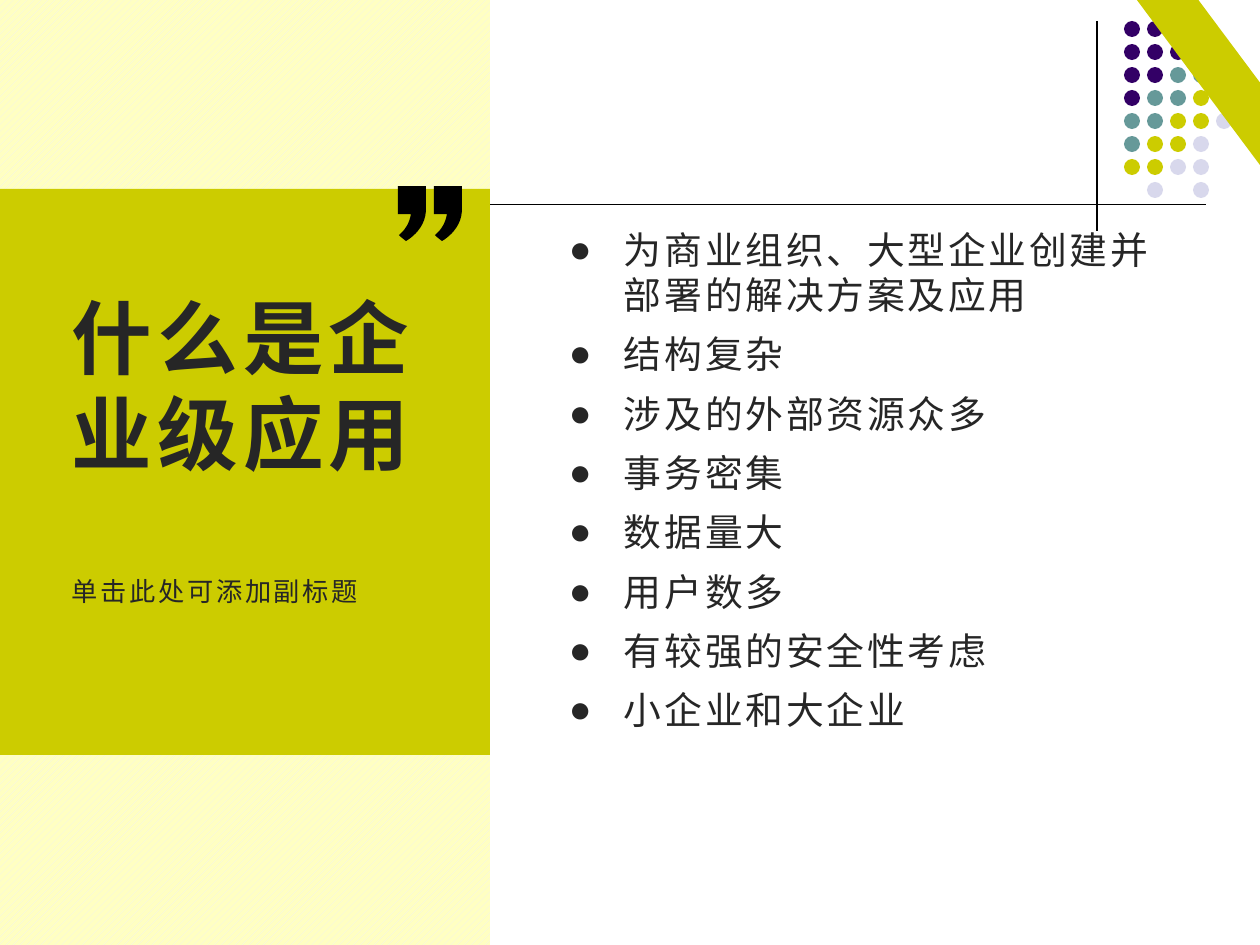
"""Build the slide that explains what an enterprise application is."""
from dataclasses import dataclass

from lxml import etree
from pptx import Presentation
from pptx.dml.color import RGBColor as Rgb
from pptx.enum.dml import MSO_PATTERN as Pattern
from pptx.enum.shapes import MSO_CONNECTOR as Connector, MSO_SHAPE as Shape
from pptx.enum.text import MSO_ANCHOR as Anchor, PP_ALIGN as Align
from pptx.oxml.ns import qn
from pptx.util import Emu, Pt

EMU_PER_PX = 914400 / 126


def px(length):
    return Emu(round(length * EMU_PER_PX))


def bezier(start, first, second, end, steps=12):
    return [
        tuple(
            (1 - t) ** 3 * a + 3 * (1 - t) ** 2 * t * b + 3 * (1 - t) * t**2 * c + t**3 * d
            for a, b, c, d in zip(start, first, second, end)
        )
        for t in (step / steps for step in range(1, steps + 1))
    ]


@dataclass(frozen=True)
class Theme:
    font: str = "Arial"
    ink: str = "262626"
    black: str = "000000"
    purple: str = "330066"
    teal: str = "669999"
    lime: str = "CCCC00"
    lavender: str = "D8D8EC"
    cream: str = "FFFFC2"
    hatch: str = "F2F2F2"
    title_size: float = 46
    subtitle_size: float = 15
    body_size: float = 21.6


@dataclass
class SlideBuilder:
    theme: Theme
    slide: object

    def paint(self, shape, color):
        shape.shadow.inherit = False
        shape.line.fill.background()
        shape.fill.solid()
        shape.fill.fore_color.rgb = Rgb.from_string(color)
        return shape

    def shape(self, kind, left, top, width, height, color):
        added = self.slide.shapes.add_shape(kind, px(left), px(top), px(width), px(height))
        return self.paint(added, color)

    def hatched(self, left, top, width, height):
        panel = self.shape(Shape.RECTANGLE, left, top, width, height, self.theme.cream)
        panel.fill.patterned()
        panel.fill.pattern = Pattern.WIDE_UPWARD_DIAGONAL
        panel.fill.fore_color.rgb = Rgb.from_string(self.theme.hatch)
        panel.fill.back_color.rgb = Rgb.from_string(self.theme.cream)

    def rule(self, start, end, weight):
        line = self.slide.shapes.add_connector(Connector.STRAIGHT, *map(px, start + end))
        line.line.color.rgb = Rgb.from_string(self.theme.black)
        line.line.width = Pt(weight)
        etree.SubElement(line.element.spPr, qn("a:effectLst"))

    def outline(self, left, top, points, color):
        start, *others = [(px(left + x), px(top + y)) for x, y in points]
        builder = self.slide.shapes.build_freeform(*start)
        builder.add_line_segments(others, close=True)
        self.paint(builder.convert_to_shape(), color)

    def text(self, left, top, width, height, lines, size, tracking,
             anchor=Anchor.TOP, insets=(9, 5), bold=False):
        box = self.slide.shapes.add_textbox(px(left), px(top), px(width), px(height))
        frame = box.text_frame
        frame.word_wrap = True
        frame.vertical_anchor = anchor
        frame.margin_left = frame.margin_right = px(insets[0])
        frame.margin_top = frame.margin_bottom = px(insets[1])
        frame.text = "\n".join(lines)
        for paragraph in frame.paragraphs:
            paragraph.alignment = Align.LEFT
            for run in paragraph.runs:
                run.font.name = self.theme.font
                run.font.size = Pt(size)
                run.font.bold = bold
                run.font.color.rgb = Rgb.from_string(self.theme.ink)
                run._r.get_or_add_rPr().set("spc", str(round(tracking * 100)))
        return frame.paragraphs

    def bullets(self, paragraphs, indent, gap):
        for paragraph in paragraphs:
            paragraph.space_after = Pt(gap)
            properties = paragraph._p.get_or_add_pPr()
            properties.set("marL", str(px(indent)))
            properties.set("indent", str(-px(indent)))
            etree.SubElement(properties, qn("a:buFont"), typeface=self.theme.font)
            etree.SubElement(properties, qn("a:buChar"), char="●")


def main():
    deck = Presentation()
    deck.slide_width, deck.slide_height = px(1260), px(945)
    theme = Theme()
    page = SlideBuilder(theme, deck.slides.add_slide(deck.slide_layouts[6]))

    page.rule((1097, 21), (1097, 231), 0.75)
    dot_colors = {"P": theme.purple, "T": theme.teal, "Y": theme.lime, "L": theme.lavender}
    dot_rows = ("PPP", "PPPT", "PPTTY", "PTTY", "TTYYL", "TYYL", "YYLL", "-L-L")
    for row, codes in enumerate(dot_rows):
        for column, code in enumerate(codes):
            if code in dot_colors:
                page.shape(Shape.OVAL, 1124 + 23 * column, 21 + 23 * row, 16, 16,
                           dot_colors[code])
    page.rule((144, 204), (1206, 204), 0.5)

    page.hatched(0, 0, 490, 945)
    page.shape(Shape.RECTANGLE, 0, 189, 490, 566, theme.lime)

    subtitle = page.text(63, 567, 364, 47, ["单击此处可添加副标题"], theme.subtitle_size, 1.5)
    subtitle[0].line_spacing = 1.1
    page.text(63, 268, 364, 218, ["什么是企业级应用"], theme.title_size, 3,
              anchor=Anchor.BOTTOM, bold=True)

    traits = [
        "为商业组织、大型企业创建并部署的解决方案及应用",
        "结构复杂",
        "涉及的外部资源众多",
        "事务密集",
        "数据量大",
        "用户数多",
        "有较强的安全性考虑",
        "小企业和大企业",
    ]
    trait_list = page.text(556, 203, 634, 553, traits, theme.body_size, 1.6,
                           anchor=Anchor.MIDDLE, insets=(13, 6))
    page.bullets(trait_list, indent=55, gap=8)

    stripe = page.shape(Shape.DIAGONAL_STRIPE, 1137, 0, 123, 165, theme.lime)
    stripe.element.spPr.find(qn("a:xfrm")).set("flipH", "1")

    quote_mark = [
        (8, 55), (3, 51), (1, 49),
        *bezier((1, 49), (1, 49), (11, 42), (13, 28)),
        (0, 28), (0, 0), (28, 0), (28, 25),
        *bezier((28, 25), (27, 45), (8, 55), (8, 55)),
    ]
    for left in (434, 398):
        page.outline(left, 186, quote_mark, theme.black)

    deck.save("out.pptx")


if __name__ == "__main__":
    main()
